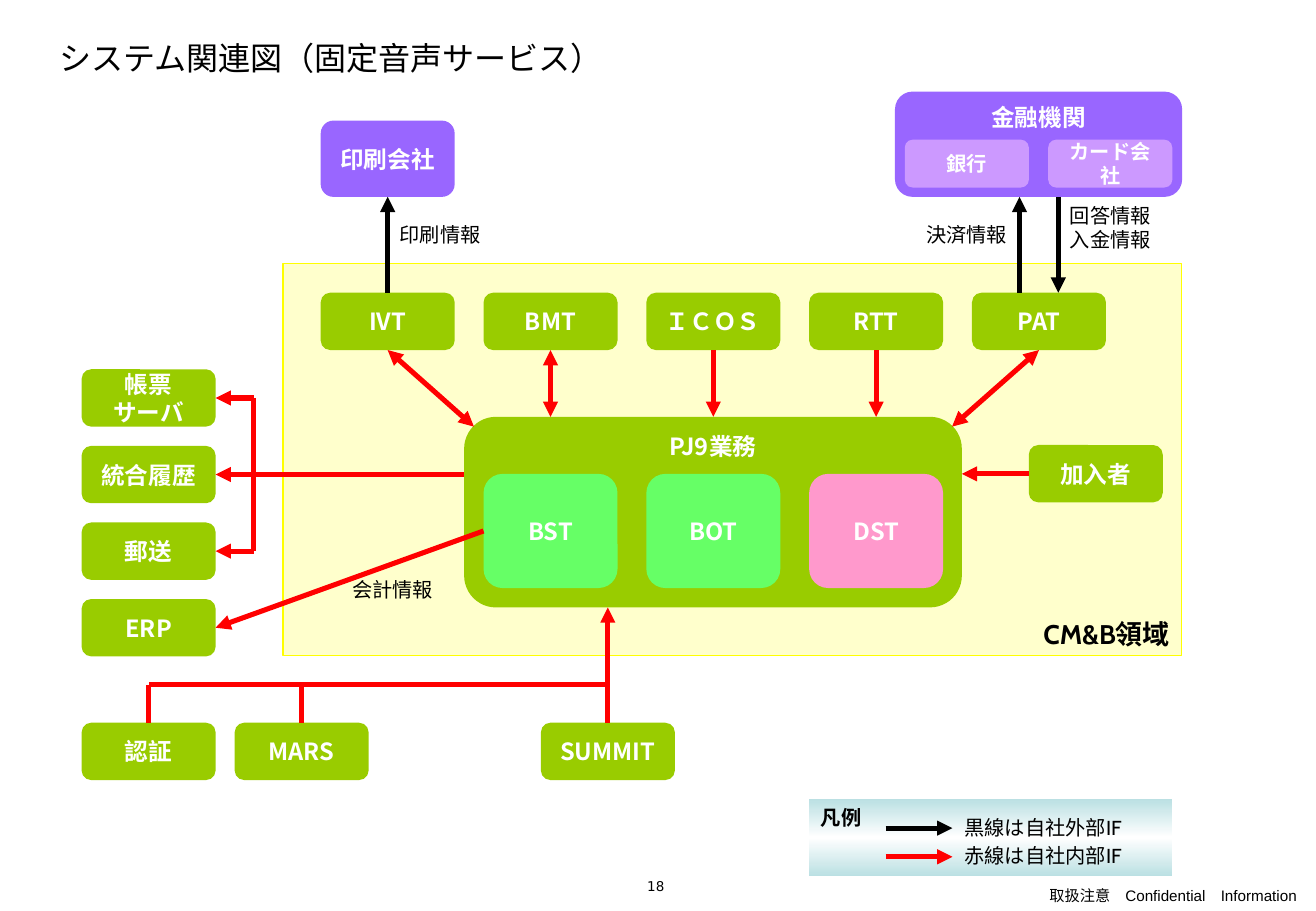
from dataclasses import dataclass

from lxml import etree
from pptx import Presentation
from pptx.dml.color import RGBColor
from pptx.enum import shapes, text
from pptx.oxml import ns
from pptx.util import Pt

BLACK = RGBColor(0x00, 0x00, 0x00)
WHITE = RGBColor(0xFF, 0xFF, 0xFF)
RED = RGBColor(0xFF, 0x00, 0x00)
YELLOW = RGBColor(0xFF, 0xFF, 0x00)
CREAM = RGBColor(0xFF, 0xFF, 0xCC)
OLIVE = RGBColor(0x99, 0xCC, 0x00)
LIME = RGBColor(0x66, 0xFF, 0x66)
PINK = RGBColor(0xFF, 0x99, 0xCC)
PURPLE = RGBColor(0x99, 0x66, 0xFF)
LILAC = RGBColor(0xCC, 0x99, 0xFF)
TEAL = RGBColor(0xBB, 0xE0, 0xE3)

LABEL_FONT = "Cabin"
NODE_FONT = "Noto Sans CJK JP"
NODE_W, NODE_H = 79.4, 34
COLUMN_STEP = 96.5
ROW_STEP = 45.4
LEFT, CENTER, RIGHT = text.PP_ALIGN.LEFT, text.PP_ALIGN.CENTER, text.PP_ALIGN.RIGHT
TOP, MIDDLE, BOTTOM = text.MSO_ANCHOR.TOP, text.MSO_ANCHOR.MIDDLE, text.MSO_ANCHOR.BOTTOM


@dataclass
class Box:
    left: float
    top: float
    width: float
    height: float

    @property
    def right(self):
        return self.left + self.width

    @property
    def bottom(self):
        return self.top + self.height

    @property
    def center(self):
        return self.left + self.width / 2

    @property
    def middle(self):
        return self.top + self.height / 2

    def inner(self, dx, dy, width, height):
        """A box offset from this one's top left corner."""
        return Box(self.left + dx, self.top + dy, width, height)

    def lengths(self):
        return [Pt(v) for v in (self.left, self.top, self.width, self.height)]


def write(shape, words, size, font, color, bold=False, align=LEFT, anchor=TOP, wrap=True):
    frame = shape.text_frame
    frame.word_wrap = wrap
    frame.vertical_anchor = anchor
    frame.text = words
    for paragraph in frame.paragraphs:
        paragraph.alignment = align
        paragraph.font.size = Pt(size)
        paragraph.font.name = font
        paragraph.font.bold = bold
        paragraph.font.color.rgb = color


def label(slide, box, words, size=12, font=LABEL_FONT, **style):
    write(slide.shapes.add_textbox(*box.lengths()), words, size, font, BLACK, **style)


def panel(slide, box, kind=shapes.MSO_SHAPE.RECTANGLE):
    shape = slide.shapes.add_shape(kind, *box.lengths())
    shape.shadow.inherit = False
    shape.line.fill.background()
    return shape


def node(slide, box, words, fill=OLIVE, size=14, anchor=MIDDLE):
    shape = panel(slide, box, shapes.MSO_SHAPE.ROUNDED_RECTANGLE)
    shape.fill.solid()
    shape.fill.fore_color.rgb = fill
    write(shape, words, size, NODE_FONT, WHITE, bold=True, align=CENTER, anchor=anchor)
    return box


def link(slide, start, end, color=RED, ends=("tailEnd",)):
    """Line whose arrowheads are named by ends: headEnd at start, tailEnd at end."""
    line = slide.shapes.add_connector(
        shapes.MSO_CONNECTOR.STRAIGHT, *[Pt(v) for v in (*start, *end)])
    line.line.color.rgb = color
    line.line.width = Pt(3)
    outline = line.line._get_or_add_ln()
    for end_name in ends:
        etree.SubElement(outline, ns.qn(f"a:{end_name}"), type="triangle")
    etree.SubElement(line._element.spPr, ns.qn("a:effectLst"))


def page_frame(slide, box):
    label(slide, box.inner(28.2, 5.8, 735, 43.2), "システム関連図（固定音声サービス）",
          19, "Roboto", anchor=BOTTOM)
    label(slide, box.inner(303, 517, 171.4, 20), "18", 8, "DejaVu Sans", align=CENTER)
    label(slide, box.inner(610.6, 522, 169.4, 18), "取扱注意　Confidential　Information",
          9, "Arial", align=CENTER, wrap=False)


def billing_area(slide, box):
    area = panel(slide, box)
    area.fill.solid()
    area.fill.fore_color.rgb = CREAM
    area.line.color.rgb = YELLOW
    area.line.width = Pt(0.75)
    write(area, "CM&B領域", 16, LABEL_FONT, BLACK, bold=True, align=RIGHT, anchor=BOTTOM)

    core = node(slide, box.inner(107.4, 90.8, 295, 113), "PJ9業務", anchor=TOP)
    parts = {}
    for i, (name, fill) in enumerate((("BST", LIME), ("BOT", LIME), ("DST", PINK))):
        parts[name] = node(slide, core.inner(11.5 + i * COLUMN_STEP, 33.8, NODE_W, 67.7), name, fill)
    for i, name in enumerate(("IVT", "BMT", "ＩＣＯＳ", "RTT", "PAT")):
        parts[name] = node(slide, box.inner(22.4 + i * COLUMN_STEP, 17.2, NODE_W, NODE_H), name)
    subscriber = node(slide, box.inner(442.1, 107.5, NODE_W, NODE_H), "加入者")

    both = ("headEnd", "tailEnd")
    corner = 5.8
    for name, x in (("IVT", core.left + corner), ("PAT", core.right - corner)):
        link(slide, (x, core.top + corner), (parts[name].center, parts[name].bottom), ends=both)
    for name, ends in (("BMT", both), ("ＩＣＯＳ", ("tailEnd",)), ("RTT", ("tailEnd",))):
        x = parts[name].center
        link(slide, (x, parts[name].bottom), (x, core.top), ends=ends)
    link(slide, (subscriber.left, core.top + 33.8), (core.right, core.top + 33.8))
    return core, parts


def printing(slide, box, ivt):
    node(slide, box, "印刷会社", PURPLE)
    link(slide, (ivt.center, ivt.top), (box.center, box.bottom), BLACK)
    label(slide, box.inner(39.7, 57, 68.4, 21.6), "印刷情報")


def finance(slide, box, pat):
    node(slide, box, "金融機関", PURPLE, anchor=TOP)
    for i, name in enumerate(("銀行", "カード会社")):
        node(slide, box.inner(5.8 + i * 85, 28.5, 73.6, 28.4), name, LILAC, 12)
    sent, received = pat.center - 11.5, pat.center + 11.5
    link(slide, (sent, pat.top), (sent, box.bottom), BLACK)
    link(slide, (received, box.bottom), (received, pat.top), BLACK)
    label(slide, box.inner(11.3, 74.2, 68.4, 21.6), "決済情報")
    label(slide, box.inner(96.5, 62.6, 68.4, 36), "回答情報\n入金情報")


def output_systems(slide, box, core, bst):
    rows = [node(slide, box.inner(0, i * ROW_STEP, NODE_W, NODE_H), name)
            for i, name in enumerate(("帳票\nサーバ", "統合履歴", "郵送", "ERP"))]
    forms, history, mail, accounts = rows
    bus = box.right + 22.7
    for row, start in ((forms, bus), (history, core.left), (mail, bus)):
        link(slide, (start, row.middle), (row.right, row.middle))
    link(slide, (bus, forms.middle), (bus, mail.middle), ends=())
    link(slide, (bst.left, bst.middle), (accounts.right, accounts.middle))
    label(slide, box.inner(153.2, 119.5, 68.4, 21.6), "会計情報")


def input_systems(slide, box, core):
    auth, mars, summit = [node(slide, box.inner(dx, 0, NODE_W, NODE_H), name)
                          for dx, name in ((0, "認証"), (90.7, "MARS"), (272.2, "SUMMIT"))]
    bus = box.top - 22.5
    link(slide, (summit.center, summit.top), (summit.center, core.bottom))
    link(slide, (summit.center, bus), (auth.center, bus), ends=())
    for source in (auth, mars):
        link(slide, (source.center, bus), (source.center, source.top), ends=())


def legend(slide, box):
    key = panel(slide, box)
    key.fill.gradient()
    key.fill.gradient_angle = 90
    stops = key.fill._fill._gradFill.gsLst
    stops.clear()
    for position, color in ((0, TEAL), (50000, WHITE), (100000, TEAL)):
        stop = etree.SubElement(stops, ns.qn("a:gs"), pos=str(position))
        etree.SubElement(stop, ns.qn("a:srgbClr"), val=str(color))
    write(key, "凡例", 12, LABEL_FONT, BLACK, bold=True)
    for i, (color, words) in enumerate(((BLACK, "黒線は自社外部IF"), (RED, "赤線は自社内部IF"))):
        y = box.top + 17.2 + i * 17
        link(slide, (box.left + 45.4, y), (box.left + 85, y), color)
        label(slide, box.inner(85, 5.8 + i * 17, 126, 21.6), words, wrap=False)


def main():
    deck = Presentation()
    deck.slide_width, deck.slide_height = Pt(780), Pt(540)
    slide = deck.slides.add_slide(deck.slide_layouts[6])
    page_frame(slide, Box(0, 0, 780, 540))
    core, parts = billing_area(slide, Box(167.7, 156.3, 532.8, 232.5))
    printing(slide, Box(190.1, 71.5, NODE_W, 45.2), parts["IVT"])
    finance(slide, Box(530.5, 54.3, 170.2, 62.4), parts["PAT"])
    output_systems(slide, Box(48.4, 218.9, NODE_W, 170), core, parts["BST"])
    input_systems(slide, Box(48.4, 428.4, 351.6, NODE_H), core)
    legend(slide, Box(479.5, 473.7, 215.3, 45.5))
    deck.save("out.pptx")


if __name__ == "__main__":
    main()
